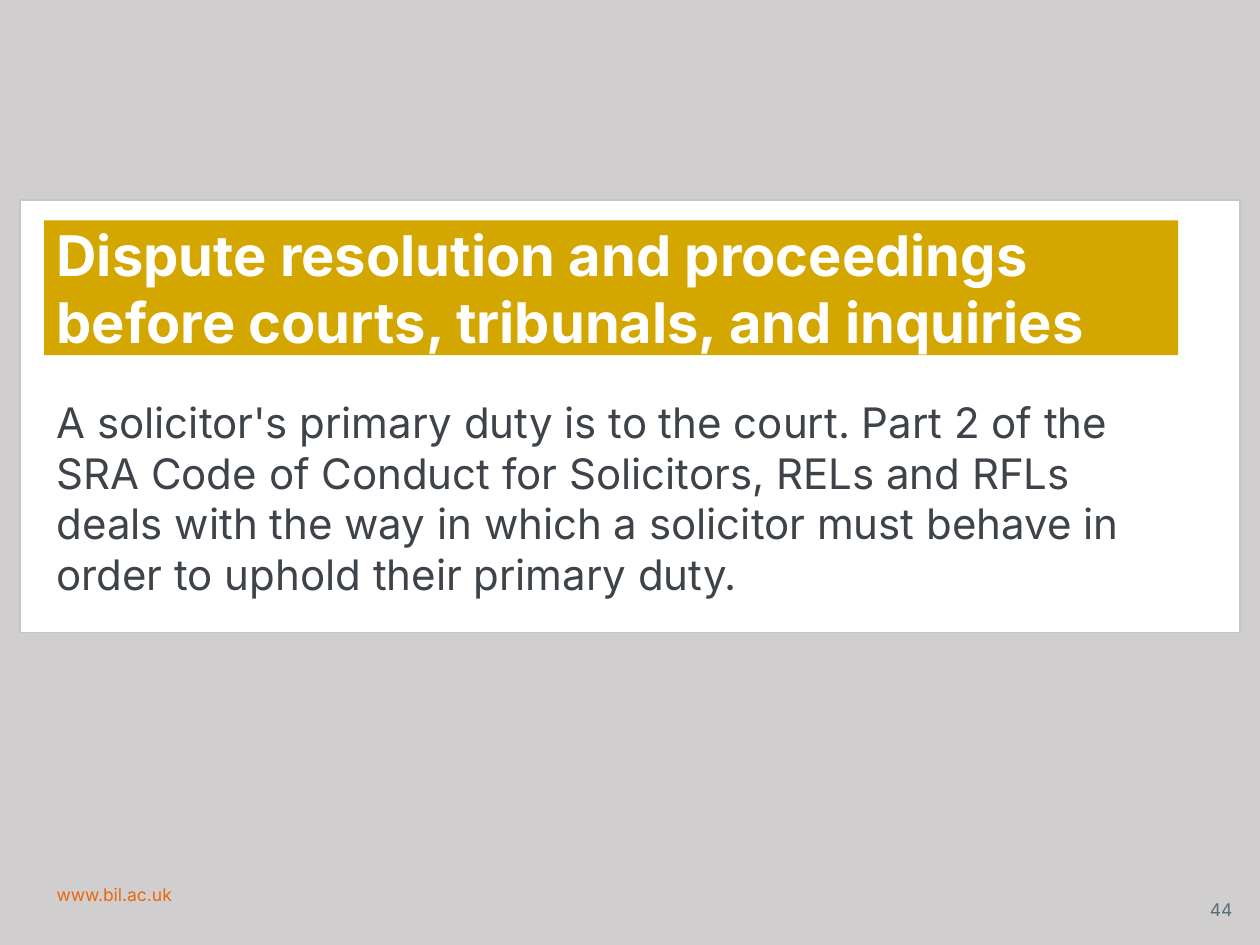
from dataclasses import dataclass
from typing import Optional

from pptx import Presentation
from pptx.dml.color import RGBColor
from pptx.enum.shapes import MSO_SHAPE as Preset
from pptx.enum.text import MSO_ANCHOR as Anchor, PP_ALIGN as Align
from pptx.util import Inches, Pt


@dataclass(frozen=True)
class Theme:
    font: str = "Inter"
    background: str = "D0CECE"
    panel: str = "FFFFFF"
    panel_line: str = "C3C6C8"
    banner: str = "D3A600"
    banner_text: str = "FFFFFF"
    body_text: str = "3D4348"
    link_text: str = "EC6608"
    number_text: str = "576F78"
    title_size: int = 32
    body_size: int = 24
    small_size: int = 10


@dataclass(frozen=True)
class Box:
    left: float
    top: float
    width: float
    height: float

    def lengths(self) -> tuple:
        return tuple(map(Inches, (self.left, self.top, self.width, self.height)))


@dataclass(frozen=True)
class Label:
    text: str
    box: Box
    size: int
    color: str
    bold: bool = False
    align: Align = Align.LEFT
    anchor: Anchor = Anchor.TOP
    vertical_inset: float = 0.05


THEME = Theme()
MARGIN, TEXT_WIDTH = 0.35, 9

TITLE = Label(
    "Dispute resolution and proceedings before courts, tribunals, and inquiries",
    Box(MARGIN, 1.75, TEXT_WIDTH, 1.07), THEME.title_size, THEME.banner_text,
    bold=True, anchor=Anchor.MIDDLE, vertical_inset=0,
)
TEXTS = [
    Label("www.bil.ac.uk", Box(MARGIN, 6.97, 6.69, 0.39),
          THEME.small_size, THEME.link_text),
    Label("A solicitor's primary duty is to the court. Part 2 of the SRA Code of "
          "Conduct for Solicitors, RELs and RFLs deals with the way in which a "
          "solicitor must behave in order to uphold their primary duty.",
          Box(MARGIN, 3.1, TEXT_WIDTH, 4.98), THEME.body_size, THEME.body_text),
    Label("44", Box(9.41, 7.06, 0.47, 0.32), THEME.small_size, THEME.number_text,
          align=Align.RIGHT, anchor=Anchor.MIDDLE),
]


def apply_format(target, values: dict) -> None:
    for name, value in values.items():
        setattr(target, name, value)


def add_rectangle(slide, box: Box, fill: str, line: Optional[str] = None):
    shape = slide.shapes.add_shape(Preset.RECTANGLE, *box.lengths())
    shape.shadow.inherit = False
    shape.fill.solid()
    shape.fill.fore_color.rgb = RGBColor.from_string(fill)
    if line:
        shape.line.color.rgb = RGBColor.from_string(line)
        shape.line.width = Pt(1)
    else:
        shape.line.fill.background()
    return shape


def write_label(shape, label: Label) -> None:
    frame = shape.text_frame
    inset = Inches(label.vertical_inset)
    apply_format(frame, {
        "word_wrap": True, "vertical_anchor": label.anchor,
        "margin_top": inset, "margin_bottom": inset,
    })
    paragraph = frame.paragraphs[0]
    apply_format(paragraph, {"text": label.text, "alignment": label.align})
    font = paragraph.runs[0].font
    apply_format(font, {"name": THEME.font, "size": Pt(label.size), "bold": label.bold})
    font.color.rgb = RGBColor.from_string(label.color)


def main() -> None:
    presentation = Presentation()
    presentation.slide_width, presentation.slide_height = Inches(10), Inches(7.5)
    slide = presentation.slides.add_slide(presentation.slide_layouts[6])
    slide.background.fill.solid()
    slide.background.fill.fore_color.rgb = RGBColor.from_string(THEME.background)

    # White panel and title banner
    add_rectangle(slide, Box(0.16, 1.59, 9.68, 3.43), THEME.panel, THEME.panel_line)
    write_label(add_rectangle(slide, TITLE.box, THEME.banner), TITLE)

    # Web address, body and slide number
    for label in TEXTS:
        write_label(slide.shapes.add_textbox(*label.box.lengths()), label)

    presentation.save("out.pptx")


if __name__ == "__main__":
    main()
